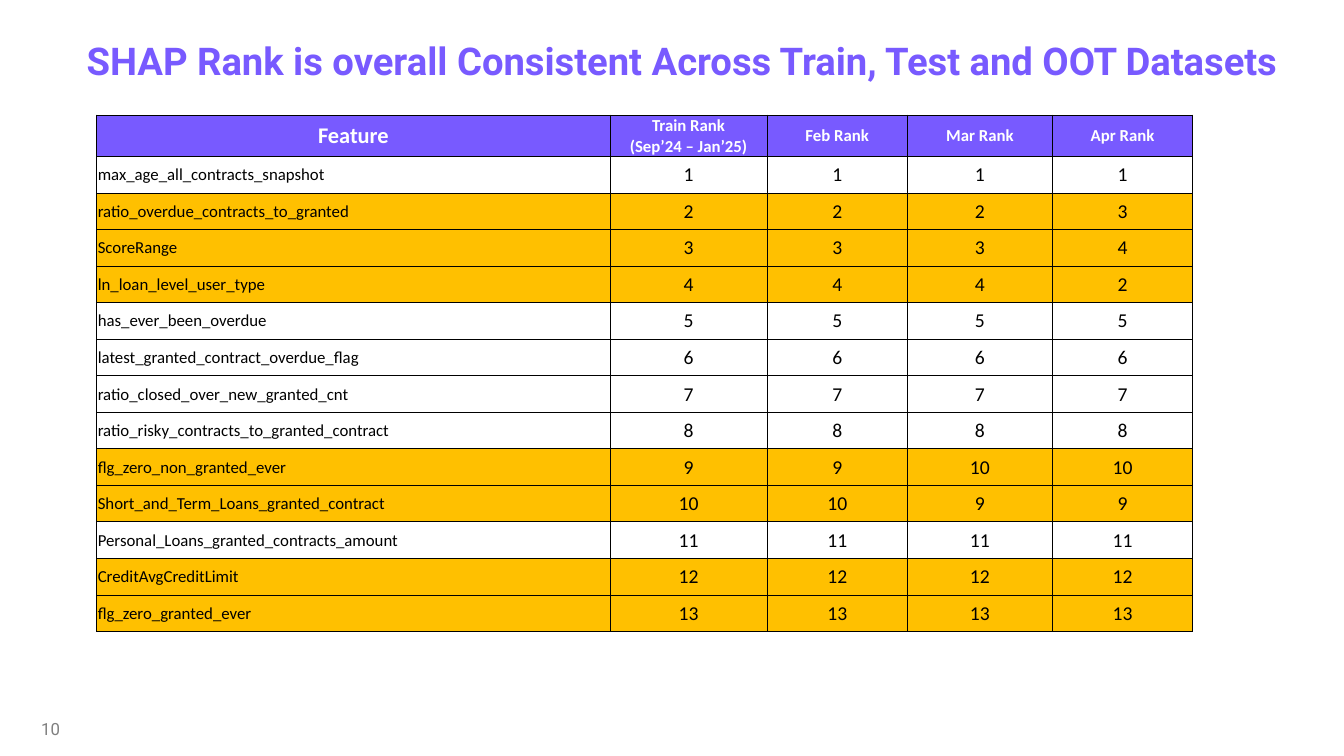
from dataclasses import dataclass

from lxml import etree
from pptx import Presentation
from pptx import util as u
from pptx.dml.color import RGBColor
from pptx.enum import text
from pptx.oxml import ns

Inches, Pt = u.Inches, u.Pt


@dataclass(frozen=True)
class Theme:
    purple: str = "785AFF"
    amber: str = "FFC000"
    white: str = "FFFFFF"
    black: str = "000000"
    gray: str = "808080"
    heading_font: str = "Roboto"
    table_font: str = "Calibri"
    title_size: float = 27.3
    feature_header_size: int = 16
    rank_size: int = 14
    small_size: int = 12
    border_width: float = 0.5


THEME = Theme()
TITLE = "SHAP Rank is overall Consistent Across Train, Test and OOT Datasets"
COLUMN_WIDTHS = (5.09, 1.56, 1.39, 1.44, 1.39)
HEADERS = ("Feature", "Train Rank\n(Sep’24 – Jan’25)", "Feb Rank", "Mar Rank", "Apr Rank")
FEATURES = (
    ("max_age_all_contracts_snapshot", (1, 1, 1, 1), False),
    ("ratio_overdue_contracts_to_granted", (2, 2, 2, 3), True),
    ("ScoreRange", (3, 3, 3, 4), True),
    ("ln_loan_level_user_type", (4, 4, 4, 2), True),
    ("has_ever_been_overdue", (5, 5, 5, 5), False),
    ("latest_granted_contract_overdue_flag", (6, 6, 6, 6), False),
    ("ratio_closed_over_new_granted_cnt", (7, 7, 7, 7), False),
    ("ratio_risky_contracts_to_granted_contract", (8, 8, 8, 8), False),
    ("flg_zero_non_granted_ever", (9, 9, 10, 10), True),
    ("Short_and_Term_Loans_granted_contract", (10, 10, 9, 9), True),
    ("Personal_Loans_granted_contracts_amount", (11, 11, 11, 11), False),
    ("CreditAvgCreditLimit", (12, 12, 12, 12), True),
    ("flg_zero_granted_ever", (13, 13, 13, 13), True),
)


def style_paragraph(paragraph, font_name, size, color, bold=False, align=text.PP_ALIGN.LEFT):
    paragraph.alignment = align
    font = paragraph.font
    font.name = font_name
    font.size = Pt(size)
    font.bold = bold
    font.color.rgb = RGBColor.from_string(color)


def add_title(slide):
    title = slide.shapes.title
    title.left, title.top = Inches(0.76), Inches(0.17)
    title.width, title.height = Inches(12.57), Inches(0.71)
    frame = title.text_frame
    frame.text = TITLE
    frame.word_wrap = True
    frame.auto_size = text.MSO_AUTO_SIZE.NONE
    frame.vertical_anchor = text.MSO_ANCHOR.BOTTOM
    paragraph = frame.paragraphs[0]
    paragraph.line_spacing = 1.5
    style_paragraph(paragraph, THEME.heading_font, THEME.title_size, THEME.purple, bold=True)


def add_page_number(slide, number):
    box = slide.shapes.add_textbox(Inches(0.31), Inches(7.03), Inches(3), Inches(0.4))
    frame = box.text_frame
    frame.word_wrap = True
    frame.vertical_anchor = text.MSO_ANCHOR.MIDDLE
    frame.text = str(number)
    paragraph = frame.paragraphs[0]
    paragraph.space_after = Pt(6)
    style_paragraph(paragraph, THEME.heading_font, THEME.small_size, THEME.gray)


def add_borders(cell):
    properties = cell._tc.get_or_add_tcPr()
    for side in ("lnL", "lnR", "lnT", "lnB"):
        line = etree.SubElement(properties, ns.qn(f"a:{side}"), w=str(Pt(THEME.border_width)))
        fill = etree.SubElement(line, ns.qn("a:solidFill"))
        etree.SubElement(fill, ns.qn("a:srgbClr"), val=THEME.black)


def fill_cell(cell, content, size, color, fill, bold=False, align=text.PP_ALIGN.CENTER):
    cell.margin_left = cell.margin_right = cell.margin_top = Inches(0.01)
    cell.margin_bottom = 0
    cell.vertical_anchor = text.MSO_ANCHOR.MIDDLE
    add_borders(cell)
    if fill:
        cell.fill.solid()
        cell.fill.fore_color.rgb = RGBColor.from_string(fill)
    else:
        cell.fill.background()
    cell.text_frame.text = str(content)
    for paragraph in cell.text_frame.paragraphs:
        style_paragraph(paragraph, THEME.table_font, size, color, bold, align)


def add_rank_table(slide):
    row_count = len(FEATURES) + 1
    ranks_table = slide.shapes.add_table(
        row_count, len(HEADERS), Inches(0.96), Inches(1.14),
        Inches(sum(COLUMN_WIDTHS)), Inches(5.08),
    ).table
    ranks_table.horz_banding = False
    for column, width in zip(ranks_table.columns, COLUMN_WIDTHS):
        column.width = Inches(width)

    for index, header in enumerate(HEADERS):
        size = THEME.small_size if index else THEME.feature_header_size
        fill_cell(ranks_table.cell(0, index), header, size, THEME.white, THEME.purple, bold=True)

    for row, (feature, ranks, highlighted) in enumerate(FEATURES, start=1):
        fill = THEME.amber if highlighted else None
        fill_cell(ranks_table.cell(row, 0), feature, THEME.small_size, THEME.black, fill,
                  align=text.PP_ALIGN.LEFT)
        for column, rank in enumerate(ranks, start=1):
            fill_cell(ranks_table.cell(row, column), rank, THEME.rank_size, THEME.black, fill)


def main():
    presentation = Presentation()
    presentation.slide_width, presentation.slide_height = Inches(13.33), Inches(7.5)
    slide = presentation.slides.add_slide(presentation.slide_layouts.get_by_name("Title Only"))
    add_title(slide)
    add_page_number(slide, 10)
    add_rank_table(slide)
    presentation.save("out.pptx")


if __name__ == "__main__":
    main()
